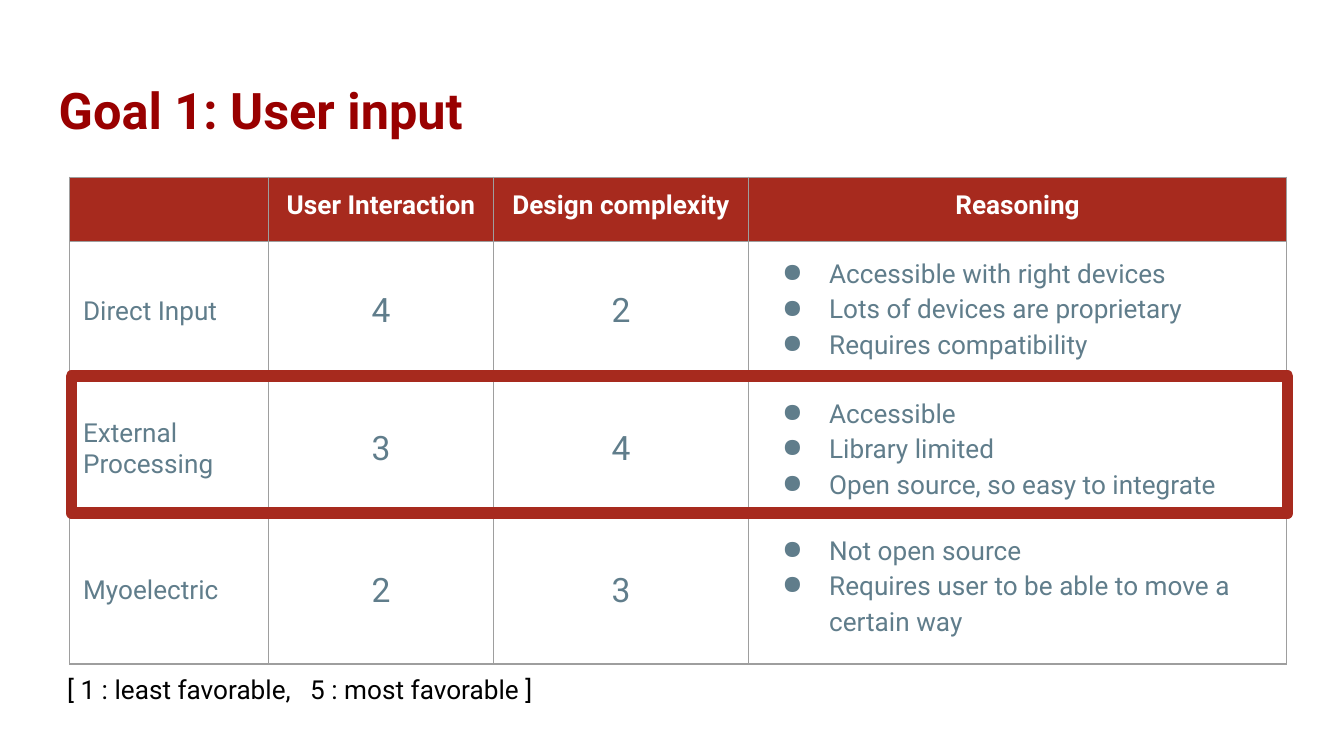
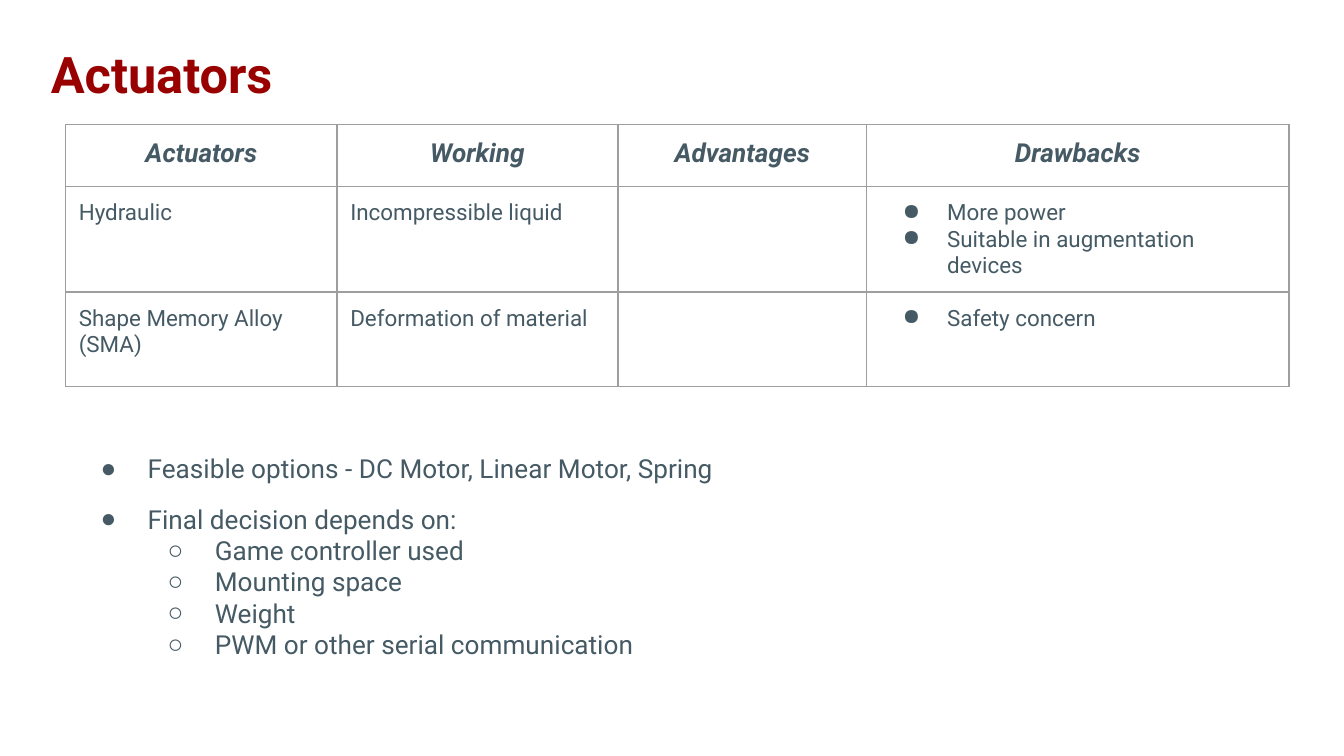
import pptx
import pptx.dml.color
import pptx.enum.shapes
import pptx.enum.text
import pptx.oxml
import pptx.oxml.ns
import pptx.util
from pptx.util import Cm, Pt

ALIGN = pptx.enum.text.PP_ALIGN
ANCHOR = pptx.enum.text.MSO_ANCHOR
FONT = "Roboto"
TITLE_RED, BAND_RED, GRID_GREY = "990000", "A72A1E", "9E9E9E"
BLUE_GREY, SLATE, WHITE, BLACK = "607D8B", "455A64", "FFFFFF", "000000"
INSET = Cm(0.25)
INSETS = {f"margin_{side}": INSET for side in ("left", "right", "top", "bottom")}
FRAME = {**INSETS, "word_wrap": True, "vertical_anchor": ANCHOR.TOP,
         "auto_size": pptx.enum.text.MSO_AUTO_SIZE.NONE}


def color(value):
    return pptx.dml.color.RGBColor.from_string(value)


def apply(target, values):
    for name, value in values.items():
        setattr(target, name, value)


def add_xml(parent, markup):
    namespace = pptx.oxml.ns.nsdecls("a")
    tag, rest = markup[:markup.index(" ")], markup[markup.index(" "):]
    parent.append(pptx.oxml.parse_xml(f"{tag} {namespace}{rest}"))


def place(shape, left, top, width, height):
    apply(shape, {"left": Cm(left), "top": Cm(top),
                  "width": Cm(width), "height": Cm(height)})


def add_bullet(para, left, hanging, mark, tint):
    properties = para._p.get_or_add_pPr()
    properties.set("marL", str(Cm(left)))
    properties.set("indent", str(-Cm(hanging)))
    add_xml(properties, f'<a:buClr ><a:srgbClr val="{tint}"/></a:buClr>')
    add_xml(properties, f'<a:buChar char="{mark}"/>')


def write(frame, lines, size, tint, bold=False, italic=False, align=ALIGN.LEFT,
          spacing=1.0, hanging=0):
    for index, line in enumerate(lines):
        text, level, before = line if isinstance(line, tuple) else (line, 0, 0)
        para = frame.paragraphs[0] if index == 0 else frame.add_paragraph()
        apply(para, {"alignment": align, "level": level, "line_spacing": spacing,
                     "space_before": Pt(before), "space_after": Pt(0)})
        if hanging:
            add_bullet(para, 1.27 * (level + 1), hanging, "●○"[level], tint)
        span = para.add_run()
        span.text = text
        apply(span.font, {"name": FONT, "size": Pt(size), "bold": bold, "italic": italic})
        span.font.color.rgb = color(tint)


def add_page(deck, layout_name, title, left, top):
    page = deck.slides.add_slide(deck.slide_layouts.get_by_name(layout_name))
    box = page.shapes.title
    place(box, left, top, 23.67, 1.6)
    apply(box.text_frame, FRAME)
    write(box.text_frame, [title], 27, TITLE_RED, bold=True)
    return page


def style_cell(cell, fill=None):
    properties = cell._tc.get_or_add_tcPr()
    for side in "LRTB":
        add_xml(properties, f'<a:ln{side} w="{Pt(0.75)}"><a:solidFill>'
                            f'<a:srgbClr val="{GRID_GREY}"/></a:solidFill></a:ln{side}>')
    if fill:
        cell.fill.solid()
        cell.fill.fore_color.rgb = color(fill)
    else:
        cell.fill.background()


def add_grid(page, left, top, widths, heights, rows, header, columns, header_fill=None):
    grid = page.shapes.add_table(len(rows), len(widths), Cm(left), Cm(top),
                                 Cm(sum(widths)), Cm(sum(heights))).table
    apply(grid, {"first_row": False, "horz_banding": False})
    for column, width in zip(grid.columns, widths):
        column.width = Cm(width)
    for row, height in zip(grid.rows, heights):
        row.height = Cm(height)
    for r, values in enumerate(rows):
        for c, value in enumerate(values):
            cell = grid.cell(r, c)
            style_cell(cell, header_fill if r == 0 else None)
            if value:
                look = dict(header if r == 0 else columns[c])
                anchor = look.pop("anchor", ANCHOR.TOP)
                apply(cell, {**INSETS, "vertical_anchor": anchor})
                lines = value if isinstance(value, list) else [value]
                write(cell.text_frame, lines, **look)


def add_note(page, text, left, top, width, height):
    box = page.shapes.add_textbox(Cm(left), Cm(top), Cm(width), Cm(height))
    apply(box.text_frame, FRAME)
    write(box.text_frame, [text], 14, BLACK)


def add_highlight(page, left, top, width, height):
    box = page.shapes.add_shape(pptx.enum.shapes.MSO_SHAPE.RECTANGLE,
                                Cm(left), Cm(top), Cm(width), Cm(height))
    box.shadow.inherit = False
    box.fill.background()
    box.line.color.rgb = color(BAND_RED)
    box.line.width = Pt(6)
    add_xml(box.line._get_or_add_ln(), "<a:round />")


def add_list(page, lines, left, top, width, height):
    box = page.placeholders[1]
    place(box, left, top, width, height)
    apply(box.text_frame, FRAME)
    write(box.text_frame, lines, 14, SLATE, hanging=0.89)


def build_user_input(deck):
    page = add_page(deck, "Title Only", "Goal 1: User input", 0.86, 1.24)
    rows = [
        ["", "User Interaction", "Design complexity", "Reasoning"],
        ["Direct Input", "4", "2", ["Accessible with right devices",
                                    "Lots of devices are proprietary",
                                    "Requires compatibility"]],
        ["External Processing", "3", "4", ["Accessible", "Library limited",
                                           "Open source, so easy to integrate"]],
        ["Myoelectric", "2", "3", ["Not open source",
                                   "Requires user to be able to move a certain way"]],
    ]
    header = {"size": 14, "tint": WHITE, "bold": True, "align": ALIGN.CENTER}
    name = {"size": 14, "tint": BLUE_GREY, "anchor": ANCHOR.MIDDLE}
    score = {**name, "size": 18, "align": ALIGN.CENTER}
    reason = {"size": 14, "tint": BLUE_GREY, "spacing": 1.15, "hanging": 0.89}
    add_grid(page, 1.32, 3.35, [3.76, 4.24, 4.83, 10.16], [1.21, 2.64, 2.59, 2.76],
             rows, header, [name, score, score, reason], BAND_RED)
    add_note(page, "[ 1 : least favorable,   5 : most favorable ]", 1.02, 12.47, 11.51, 1.12)
    add_highlight(page, 1.35, 7.11, 22.99, 2.59)


def build_actuators(deck):
    page = add_page(deck, "Title and Content", "Actuators", 0.71, 0.56)
    rows = [
        ["Actuators", "Working", "Advantages", "Drawbacks"],
        ["Hydraulic", "Incompressible liquid", "",
         ["More power", "Suitable in augmentation devices"]],
        ["Shape Memory Alloy (SMA)", "Deformation of material", "", ["Safety concern"]],
    ]
    header = {"size": 14, "tint": SLATE, "bold": True, "italic": True,
              "align": ALIGN.CENTER}
    plain = {"size": 12, "tint": SLATE}
    add_grid(page, 1.24, 2.36, [5.13, 5.31, 4.7, 7.98], [1.17, 1.99, 1.79],
             rows, header, [plain, plain, plain, {**plain, "hanging": 0.84}])
    add_list(page, [
        "Feasible options - DC Motor, Linear Motor, Spring",
        ("Final decision depends on:", 0, 10),
        ("Game controller used", 1, 0),
        ("Mounting space", 1, 0),
        ("Weight", 1, 0),
        ("PWM or other serial communication", 1, 0),
    ], 1.27, 8.31, 22.35, 4.47)


def main():
    deck = pptx.Presentation()
    apply(deck, {"slide_width": Cm(25.4), "slide_height": Cm(14.29)})
    build_user_input(deck)
    build_actuators(deck)
    deck.save("out.pptx")


if __name__ == "__main__":
    main()
